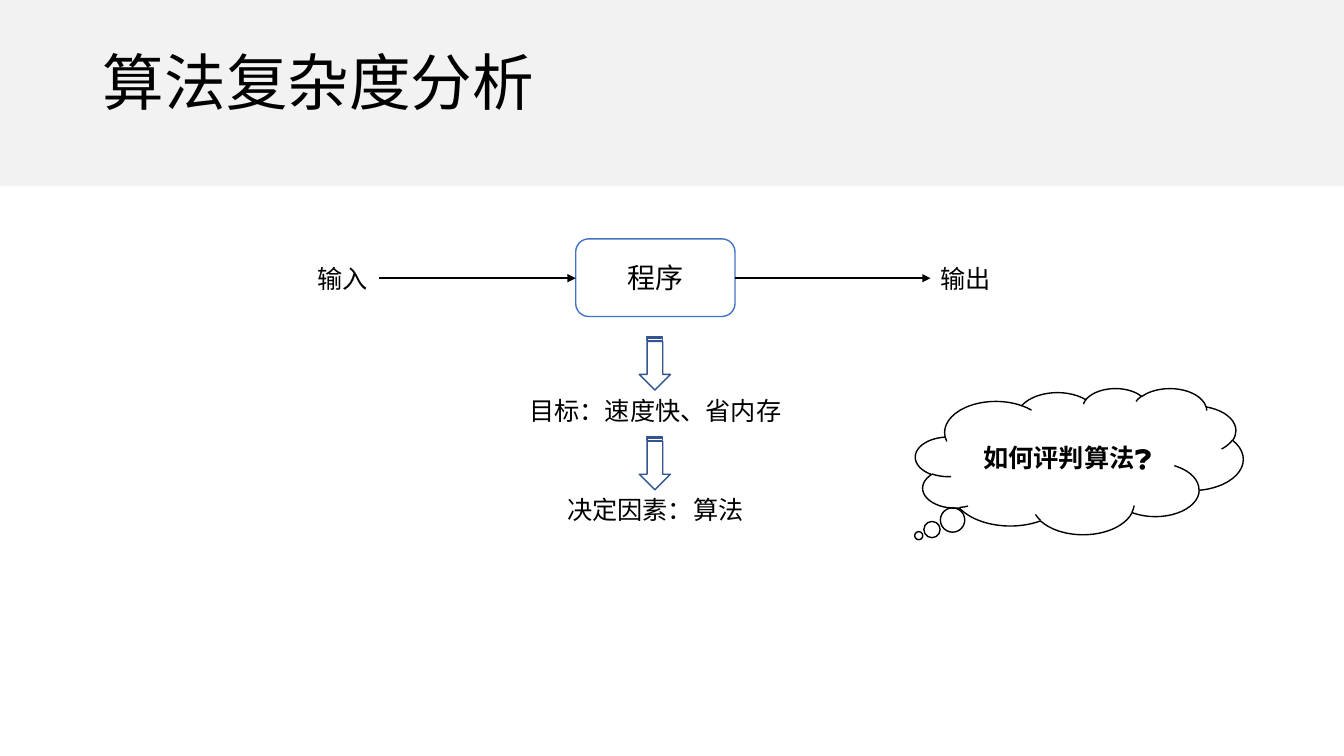
from dataclasses import dataclass

from lxml import etree
from pptx import Presentation, util as u
from pptx.dml.color import RGBColor
from pptx.enum import shapes, text
from pptx.oxml.ns import qn

FACE = "Noto Sans CJK SC"
BLACK = "000000"
KIND = shapes.MSO_SHAPE
ALIGN = text.PP_ALIGN


@dataclass
class Label:
    words: str
    left: float
    top: float
    width: float
    wrap: bool
    align: ALIGN


@dataclass
class Form:
    kind: KIND
    left: float
    top: float
    width: float
    height: float
    fill: str = ""
    line: str = ""
    turn: float = 0


@dataclass
class Flow:
    start: float
    end: float


LABELS = [
    Label("输入", 3.05, 2.56, 0.71, False, ALIGN.LEFT),
    Label("输出", 9.23, 2.56, 0.71, False, ALIGN.LEFT),
    Label("目标：速度快、省内存", 4.77, 3.87, 3.46, True, ALIGN.CENTER),
    Label("决定因素：算法", 4.77, 4.86, 3.46, True, ALIGN.CENTER),
]
FLOWS = [Flow(3.76, 5.71), Flow(7.29, 9.23)]
FLOW_Y = 2.76
BAND = Form(KIND.RECTANGLE, 0, 0, 13.33, 1.85, fill="F2F2F2")
BOX = Form(KIND.ROUNDED_RECTANGLE, 5.71, 2.37, 1.58, 0.77, "FFFFFF", "4472C4")
STEPS = [
    Form(KIND.STRIPED_RIGHT_ARROW, 6.23, top, 0.53, 0.31, line="325491", turn=90)
    for top in (3.45, 4.44)
]
CLOUD = Form(KIND.CLOUD_CALLOUT, 9.08, 3.85, 3.25, 1.45, line=BLACK)


def paint(part, shade: str) -> None:
    part.solid()
    part.fore_color.rgb = RGBColor.from_string(shade)


def write(shape, words: str, size: float, align: ALIGN, bold: bool = False):
    frame = shape.text_frame
    frame.text = words
    para = frame.paragraphs[0]
    para.alignment = align
    font = para.font
    font.size = u.Pt(size)
    font.bold = bold
    paint(font.fill, BLACK)
    font.name = FACE
    for props in shape.element.iter(qn("a:defRPr")):
        etree.SubElement(props, qn("a:ea"), typeface=FACE)
    return frame


def draw_form(slide, form: Form):
    spot = map(u.Inches, (form.left, form.top, form.width, form.height))
    shape = slide.shapes.add_shape(form.kind, *spot)
    shape.shadow.inherit = False
    shape.rotation = form.turn
    if form.fill:
        paint(shape.fill, form.fill)
    else:
        shape.fill.background()
    if form.line:
        paint(shape.line.fill, form.line)
        shape.line.width = u.Pt(1)
    else:
        shape.line.fill.background()
    return shape


def draw_label(slide, label: Label) -> None:
    spot = map(u.Inches, (label.left, label.top, label.width, 0.4))
    box = slide.shapes.add_textbox(*spot)
    frame = write(box, label.words, 18, label.align)
    frame.word_wrap = label.wrap
    frame.auto_size = text.MSO_AUTO_SIZE.SHAPE_TO_FIT_TEXT


def draw_flow(slide, flow: Flow) -> None:
    ends = map(u.Inches, (flow.start, FLOW_Y, flow.end, FLOW_Y))
    link = slide.shapes.add_connector(shapes.MSO_CONNECTOR.STRAIGHT, *ends)
    paint(link.line.fill, BLACK)
    link.line.width = u.Pt(1)
    props = link.element.spPr
    etree.SubElement(props.find(qn("a:ln")), qn("a:tailEnd"), type="triangle")
    etree.SubElement(props, qn("a:effectLst"))


def draw_title(slide) -> None:
    title = slide.shapes.title
    title.left, title.top = u.Inches(0.92), u.Inches(0.12)
    title.width, title.height = u.Inches(11.5), u.Inches(1.45)
    frame = write(title, "算法复杂度分析", 44, ALIGN.LEFT)
    frame.vertical_anchor = text.MSO_ANCHOR.MIDDLE
    frame.paragraphs[0].line_spacing = 0.9
    band = draw_form(slide, BAND)
    title.element.addprevious(band.element)


def main() -> None:
    deck = Presentation()
    deck.slide_width, deck.slide_height = u.Inches(13.33), u.Inches(7.5)
    slide = deck.slides.add_slide(deck.slide_layouts[5])
    draw_title(slide)

    box = draw_form(slide, BOX)
    frame = write(box, "程序", 20, ALIGN.CENTER)
    frame.vertical_anchor = text.MSO_ANCHOR.TOP
    frame.margin_top = u.Inches(0.18)

    for label in LABELS:
        draw_label(slide, label)
    for flow in FLOWS:
        draw_flow(slide, flow)
    for step in STEPS:
        draw_form(slide, step)

    cloud = draw_form(slide, CLOUD)
    cloud.adjustments[0], cloud.adjustments[1] = -0.49, 0.51
    frame = write(cloud, "如何评判算法❓", 18, ALIGN.CENTER, bold=True)
    frame.vertical_anchor = text.MSO_ANCHOR.MIDDLE
    deck.save("out.pptx")


if __name__ == "__main__":
    main()
